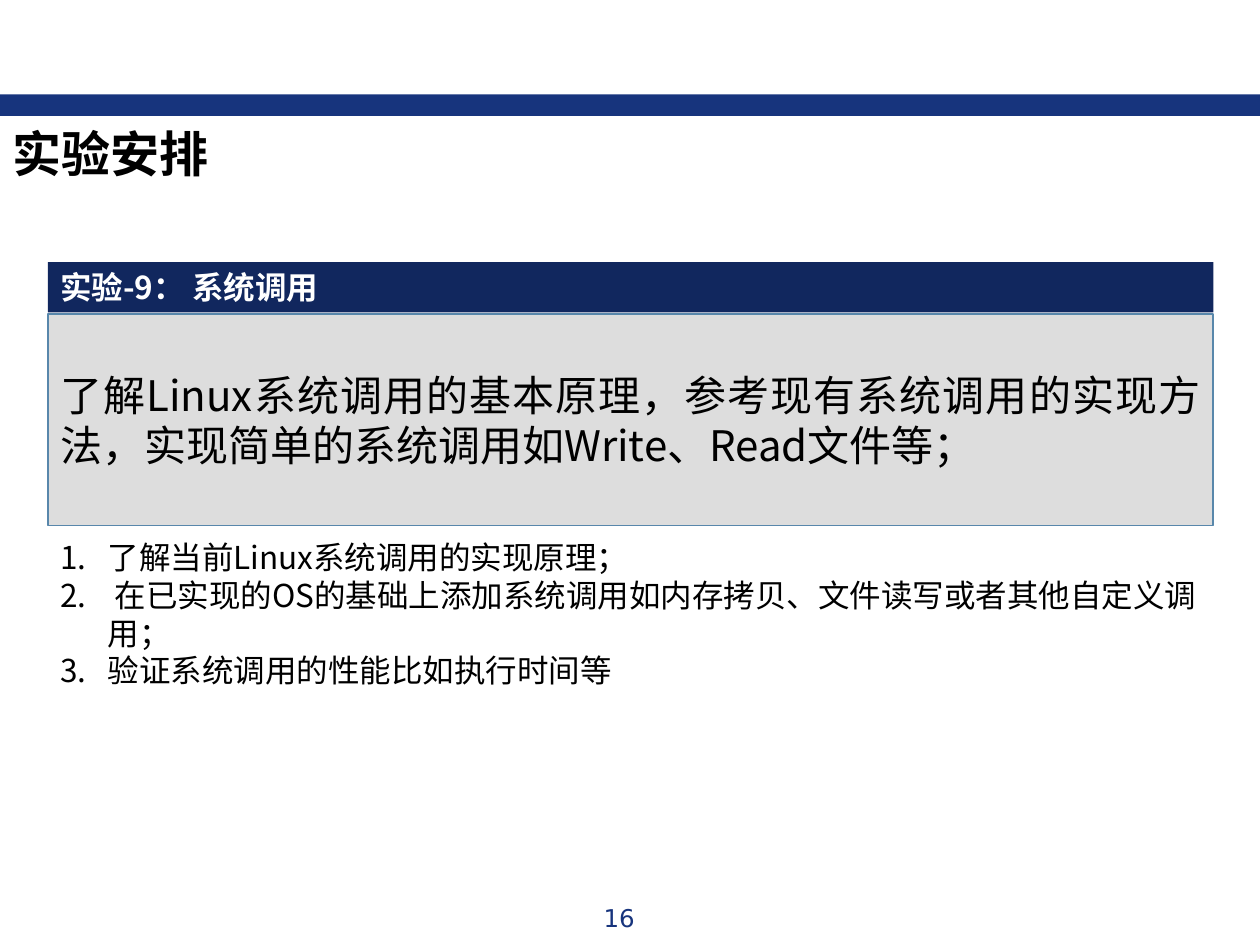
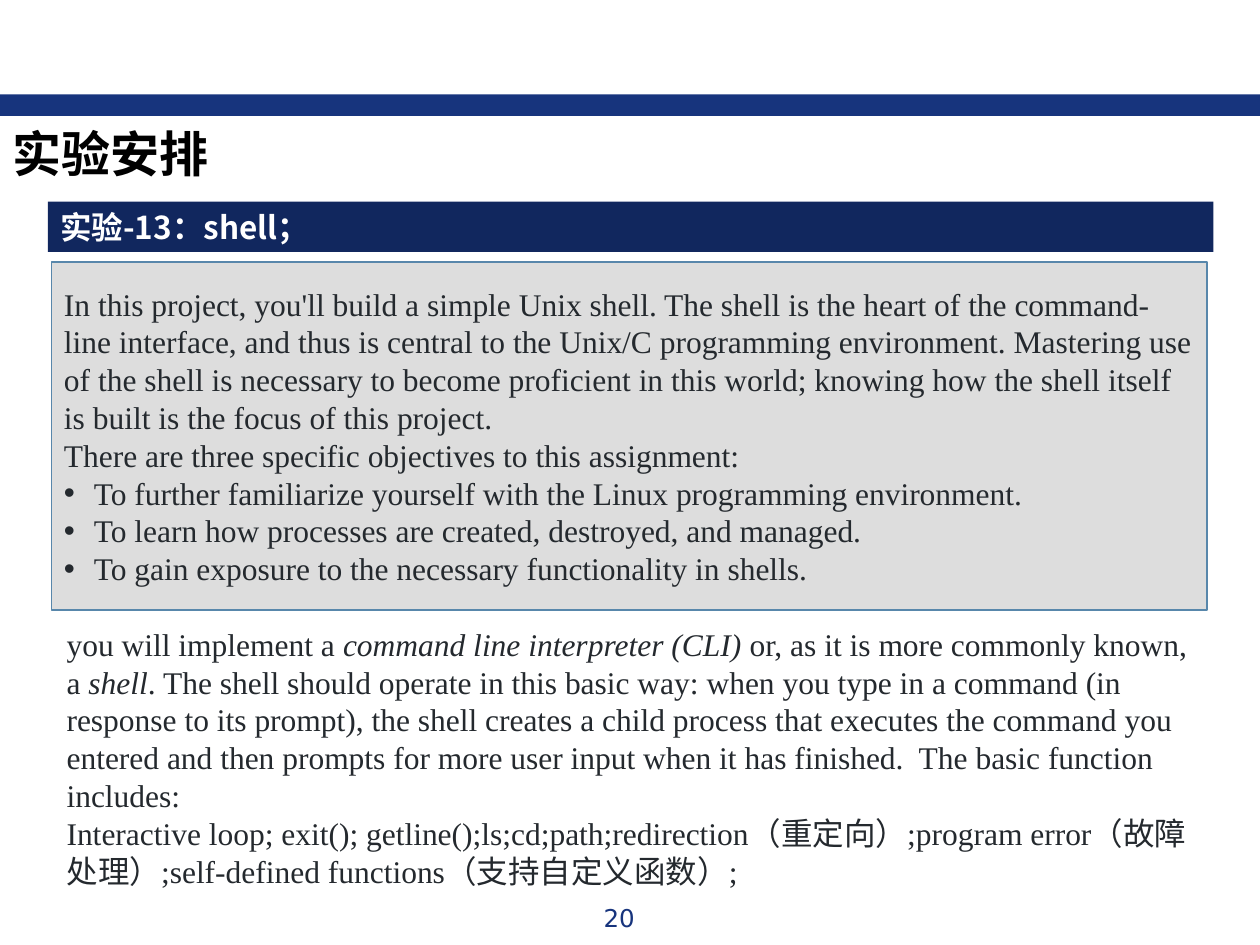
from lxml import etree
from pptx import Presentation
from pptx.dml.color import RGBColor
from pptx.enum.shapes import MSO_SHAPE
from pptx.enum.text import MSO_ANCHOR, PP_ALIGN
from pptx.oxml.ns import qn
from pptx.util import Pt

RECTANGLE = MSO_SHAPE.RECTANGLE
TOP, MIDDLE = MSO_ANCHOR.TOP, MSO_ANCHOR.MIDDLE
LEFT, CENTER, JUSTIFY = PP_ALIGN.LEFT, PP_ALIGN.CENTER, PP_ALIGN.JUSTIFY

COLORS = {
    "band": "17347D",
    "heading": "11275E",
    "panel": "DDDDDD",
    "panel_line": "5887AB",
    "black": "000000",
    "white": "FFFFFF",
    "ink": "24292E",
}
CHINESE, LATIN, NUMBER = "Noto Sans CJK SC", "Times New Roman", "DejaVu Sans"
MARGIN, CONTENT_WIDTH = 27.36, 666
LINE_FACTOR = 1.2

SYSTEM_CALL_SUMMARY = ["了解Linux系统调用的基本原理，参考现有系统调用的实现方法，实现简单的系统调用如Write、Read文件等；"]
SYSTEM_CALL_STEPS = [
    "了解当前Linux系统调用的实现原理；",
    " 在已实现的OS的基础上添加系统调用如内存拷贝、文件读写或者其他自定义调用；",
    "验证系统调用的性能比如执行时间等",
]
SHELL_SUMMARY = [
    "In this project, you'll build a simple Unix shell. The shell is the heart of the "
    "command-line interface, and thus is central to the Unix/C programming environment. "
    "Mastering use of the shell is necessary to become proficient in this world; knowing "
    "how the shell itself is built is the focus of this project.",
    "There are three specific objectives to this assignment:",
    "To further familiarize yourself with the Linux programming environment.",
    "To learn how processes are created, destroyed, and managed.",
    "To gain exposure to the necessary functionality in shells.",
]
SHELL_DETAILS = [
    "you will implement a *command line interpreter (CLI)* or, as it is more commonly known, "
    "a *shell*. The shell should operate in this basic way: when you type in a command (in "
    "response to its prompt), the shell creates a child process that executes the command you "
    "entered and then prompts for more user input when it has finished.  The basic function "
    "includes:",
    "Interactive loop; exit(); getline();ls;cd;path;redirection（重定向）;program error"
    "（故障处理）;self-defined functions（支持自定义函数）;",
]


def color(name):
    """Return the named palette colour."""
    return RGBColor.from_string(COLORS[name])


def add_marker(paragraph, tag, hanging, **attributes):
    """Give a paragraph a bullet or number with a hanging indent."""
    properties = paragraph._p.get_or_add_pPr()
    properties.set("marL", str(Pt(hanging)))
    properties.set("indent", str(-Pt(hanging)))
    if tag == "a:buChar":
        etree.SubElement(properties, qn("a:buFont"), typeface="Arial")
    etree.SubElement(properties, qn(tag), **attributes)


def write_text(shape, paragraphs, size=18, ink="black", font=CHINESE, bold=False,
               align=LEFT, anchor=TOP, numbered=False, bullets_from=None):
    """Write paragraphs into a shape, with italics between asterisks."""
    frame = shape.text_frame
    frame.word_wrap = True
    frame.vertical_anchor = anchor
    for index, text in enumerate(paragraphs):
        paragraph = frame.add_paragraph() if index else frame.paragraphs[0]
        if numbered:
            add_marker(paragraph, "a:buAutoNum", 27, type="arabicPeriod")
        elif bullets_from is not None and index >= bullets_from:
            add_marker(paragraph, "a:buChar", 17, char="•")
        paragraph.alignment = align
        paragraph.line_spacing = Pt(size * LINE_FACTOR)
        for position, part in enumerate(text.split("*")):
            run = paragraph.add_run()
            run.text = part
            run.font.name = font
            run.font.size = Pt(size)
            run.font.bold = bold
            run.font.italic = position % 2 == 1
            run.font.color.rgb = color(ink)
            etree.SubElement(run._r.get_or_add_rPr(), qn("a:ea"), typeface=CHINESE)


def add_box(slide, left, top, width, height, fill, line=None):
    """Add a flat rectangle with an optional outline."""
    shape = slide.shapes.add_shape(RECTANGLE, Pt(left), Pt(top), Pt(width), Pt(height))
    shape.shadow.inherit = False
    shape.fill.solid()
    shape.fill.fore_color.rgb = color(fill)
    if line:
        shape.line.color.rgb = color(line)
        shape.line.width = Pt(1)
    else:
        shape.line.fill.background()
    return shape


def add_label(slide, left, top, width, height, paragraphs, **text_format):
    """Add a text box with formatted paragraphs."""
    label = slide.shapes.add_textbox(Pt(left), Pt(top), Pt(width), Pt(height))
    write_text(label, paragraphs, **text_format)


def add_panel(slide, left, top, width, height, paragraphs, **text_format):
    """Add a grey summary panel."""
    panel = add_box(slide, left, top, width, height, "panel", "panel_line")
    write_text(panel, paragraphs, anchor=MIDDLE, **text_format)


def add_experiment_slide(presentation, number, heading, heading_top):
    """Add a slide with the shared band, title, page number and heading bar."""
    slide = presentation.slides.add_slide(presentation.slide_layouts[6])
    add_box(slide, 0, 54, 720, 12.24, "band")
    add_label(slide, 270, 512.64, 167.76, 24.48, [number],
              size=14, ink="band", font=NUMBER, align=CENTER)
    add_label(slide, 0, 66.96, 240, 41.04, ["实验安排"], size=28, bold=True)
    bar = add_box(slide, MARGIN, heading_top, CONTENT_WIDTH, 28.8, "heading")
    write_text(bar, [heading], ink="white", bold=True)
    return slide


def main():
    """Build and save the presentation."""
    presentation = Presentation()
    presentation.slide_width, presentation.slide_height = Pt(720), Pt(540)

    slide = add_experiment_slide(presentation, "16", "实验-9： 系统调用", 149.76)
    add_panel(slide, MARGIN, 179.28, CONTENT_WIDTH, 120.96, SYSTEM_CALL_SUMMARY,
              size=24, align=JUSTIFY)
    add_label(slide, MARGIN, 303.84, CONTENT_WIDTH, 94.32, SYSTEM_CALL_STEPS, numbered=True)

    slide = add_experiment_slide(presentation, "20", "实验-13：shell；", 115.2)
    add_panel(slide, 29.52, 149.76, 660.24, 198.72, SHELL_SUMMARY,
              ink="ink", font=LATIN, bullets_from=2)
    add_label(slide, 30.96, 353.52, CONTENT_WIDTH, 159.84, SHELL_DETAILS,
              ink="ink", font=LATIN)

    presentation.save("out.pptx")


if __name__ == "__main__":
    main()
